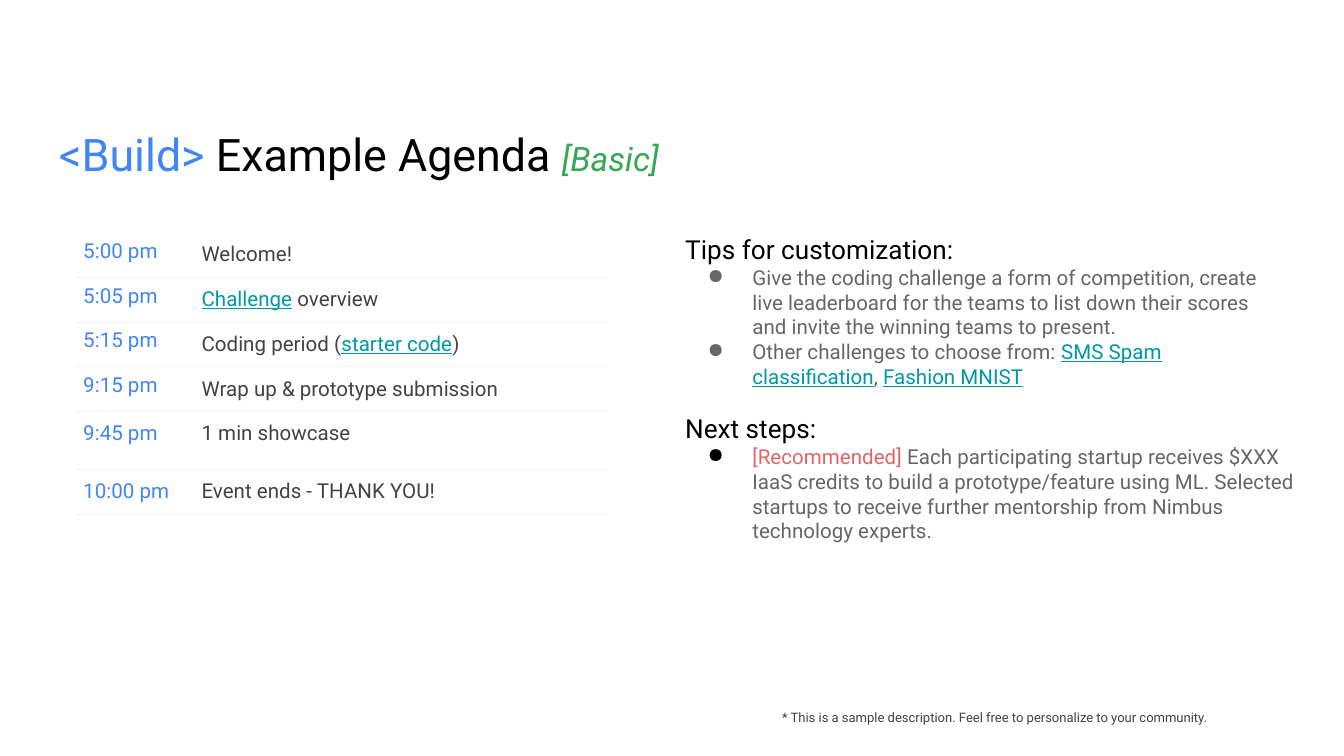
from lxml import etree
from pptx import Presentation
from pptx.dml.color import RGBColor
from pptx.enum import text as text_enum
from pptx.oxml import ns
from pptx.util import Pt

BLUE, GREEN, TEAL, RED = "4285F4", "34A853", "0097A7", "E06666"
BLACK, DARK, GRAY, RULE = "000000", "434343", "666666", "F3F3F3"

TITLE = [("<Build> ", {"color": BLUE}), ("Example Agenda ", {"color": BLACK}),
         ("[Basic]", {"color": GREEN, "size": 18, "italic": True})]
LINK = {"color": TEAL, "underline": True}
AGENDA = [
    ("5:00 pm", ["Welcome!"], 1),
    ("5:05 pm", [("Challenge", LINK), " overview"], 1),
    ("5:15 pm", ["Coding period (", ("starter code", LINK), ")"], 1),
    ("9:15 pm", ["Wrap up & prototype submission"], 1),
    ("9:45 pm", ["1 min showcase"], 1.15),
    ("10:00 pm", ["Event ends - THANK YOU!"], 1.15),
]
COLUMN_WIDTHS = [56.2, 228.2]
ROW_HEIGHTS = [24, 24, 24, 24, 31, 24, 24]
SECTIONS = [
    ("Tips for customization:", GRAY, (360, 118, 330, 100), [
        ["Give the coding challenge a form of competition, create live leaderboard for the "
         "teams to list down their scores and invite the winning teams to present."],
        ["Other challenges to choose from: ", ("SMS Spam classification", LINK), ", ",
         ("Fashion MNIST", LINK)],
    ]),
    ("Next steps:", BLACK, (360, 214, 343.5, 105), [
        [("[Recommended] ", {"color": RED}),
         "Each participating startup receives $XXX IaaS credits to build a prototype/feature "
         "using ML. Selected startups to receive further mentorship from Nimbus technology "
         "experts."],
    ]),
]
FOOTNOTE = "* This is a sample description. Feel free to personalize to your community."


def rgb(color):
    return RGBColor.from_string(color)


def add_bullet(paragraph, color):
    properties = paragraph._p.get_or_add_pPr()
    properties.set("marL", str(Pt(36)))
    properties.set("indent", str(Pt(-24)))
    bullet_color = etree.SubElement(properties, ns.qn("a:buClr"))
    etree.SubElement(bullet_color, ns.qn("a:srgbClr"), val=color)
    etree.SubElement(properties, ns.qn("a:buChar"), char="●")


def write(paragraph, content, size=11, color=DARK, spacing=1, bullet=None):
    paragraph.line_spacing = spacing
    if bullet:
        add_bullet(paragraph, bullet)
    for part in [content] if isinstance(content, str) else content:
        words, changes = (part, {}) if isinstance(part, str) else part
        run = paragraph.add_run()
        run.text = words
        run.font.name = "Roboto"
        run.font.size = Pt(changes.get("size", size))
        run.font.color.rgb = rgb(changes.get("color", color))
        run.font.italic = changes.get("italic")
        run.font.underline = changes.get("underline")


def add_box(slide, place, insets=(7.2, 7.2, 7.2, 7.2)):
    frame = slide.shapes.add_textbox(*map(Pt, place)).text_frame
    frame.word_wrap = True
    (frame.margin_left, frame.margin_top,
     frame.margin_right, frame.margin_bottom) = map(Pt, insets)
    return frame


def set_borders(cell, sides):
    properties = cell._tc.get_or_add_tcPr()
    for position, side in enumerate(sides):
        line = etree.Element(ns.qn(f"a:ln{side}"), w=str(Pt(0.75)))
        fill = etree.SubElement(line, ns.qn("a:solidFill"))
        etree.SubElement(fill, ns.qn("a:srgbClr"), val=RULE)
        properties.insert(position, line)


def add_agenda(slide):
    table = slide.shapes.add_table(
        len(ROW_HEIGHTS), len(COLUMN_WIDTHS), Pt(41), Pt(124.6),
        Pt(sum(COLUMN_WIDTHS)), Pt(sum(ROW_HEIGHTS))).table
    table.first_row = table.horz_banding = False
    for column, width in zip(table.columns, COLUMN_WIDTHS):
        column.width = Pt(width)
    last = len(ROW_HEIGHTS) - 1
    for index, height in enumerate(ROW_HEIGHTS):
        table.rows[index].height = Pt(height)
        for cell, left in zip(table.rows[index].cells, (3.6, 10.8)):
            cell.margin_left = Pt(left)
            cell.margin_top = cell.margin_right = cell.margin_bottom = Pt(3.6)
            cell.fill.background()
            set_borders(cell, ("T" if index > 0 else "") + ("B" if index < last else ""))
    for index, (time, activity, spacing) in enumerate(AGENDA):
        write(table.cell(index, 0).text_frame.paragraphs[0], time, color=BLUE, spacing=spacing)
        write(table.cell(index, 1).text_frame.paragraphs[0], activity, spacing=1.15)


def main():
    presentation = Presentation()
    presentation.slide_width, presentation.slide_height = Pt(720), Pt(405)
    slide = presentation.slides.add_slide(presentation.slide_layouts[6])

    title = add_box(slide, (24.5, 44, 648, 60))
    title.vertical_anchor = text_enum.MSO_ANCHOR.BOTTOM
    write(title.paragraphs[0], TITLE, size=24)

    add_agenda(slide)

    footnote = add_box(slide, (419, 378.7, 268.6, 15), (0, 0, 18, 0))
    write(footnote.paragraphs[0], FOOTNOTE, size=7, spacing=1.15)

    for heading, bullet_color, place, items in SECTIONS:
        frame = add_box(slide, place)
        write(frame.paragraphs[0], heading, size=14, color=BLACK)
        for item in items:
            write(frame.add_paragraph(), item, color=GRAY, bullet=bullet_color)

    presentation.save("out.pptx")


if __name__ == "__main__":
    main()
